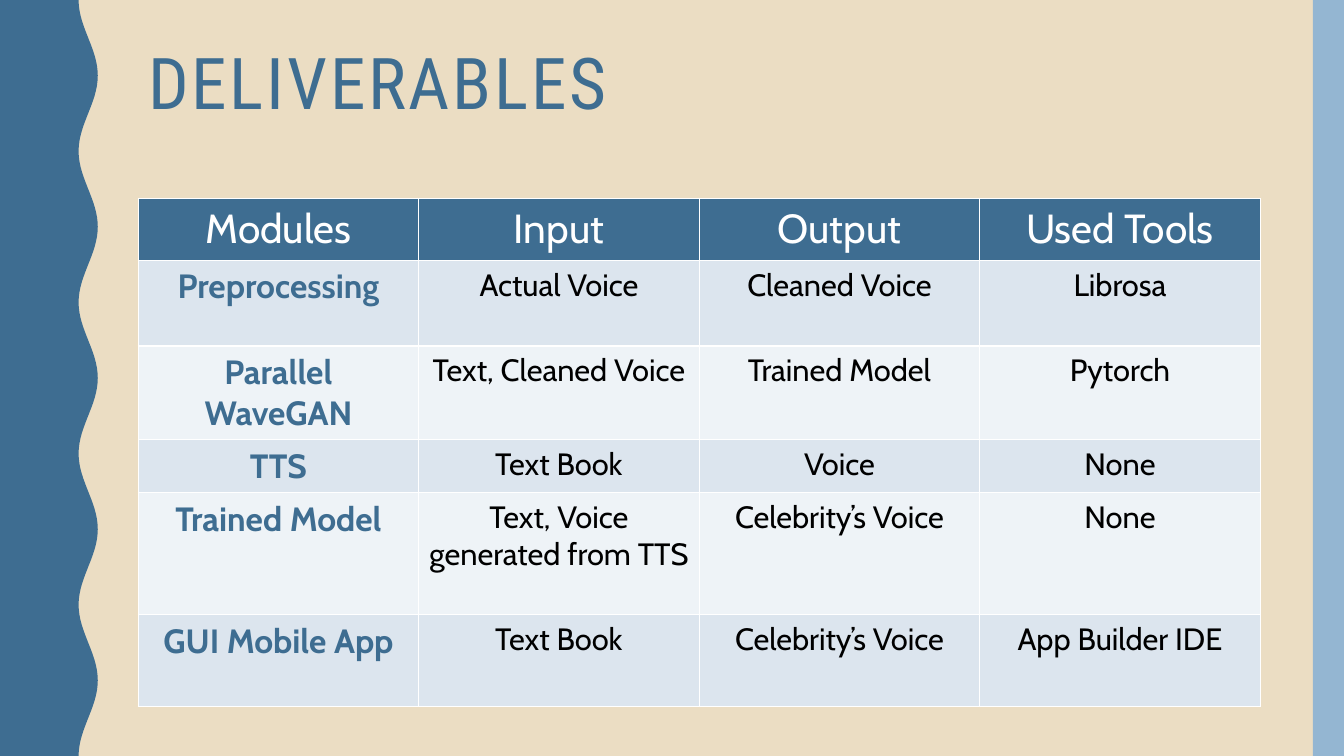
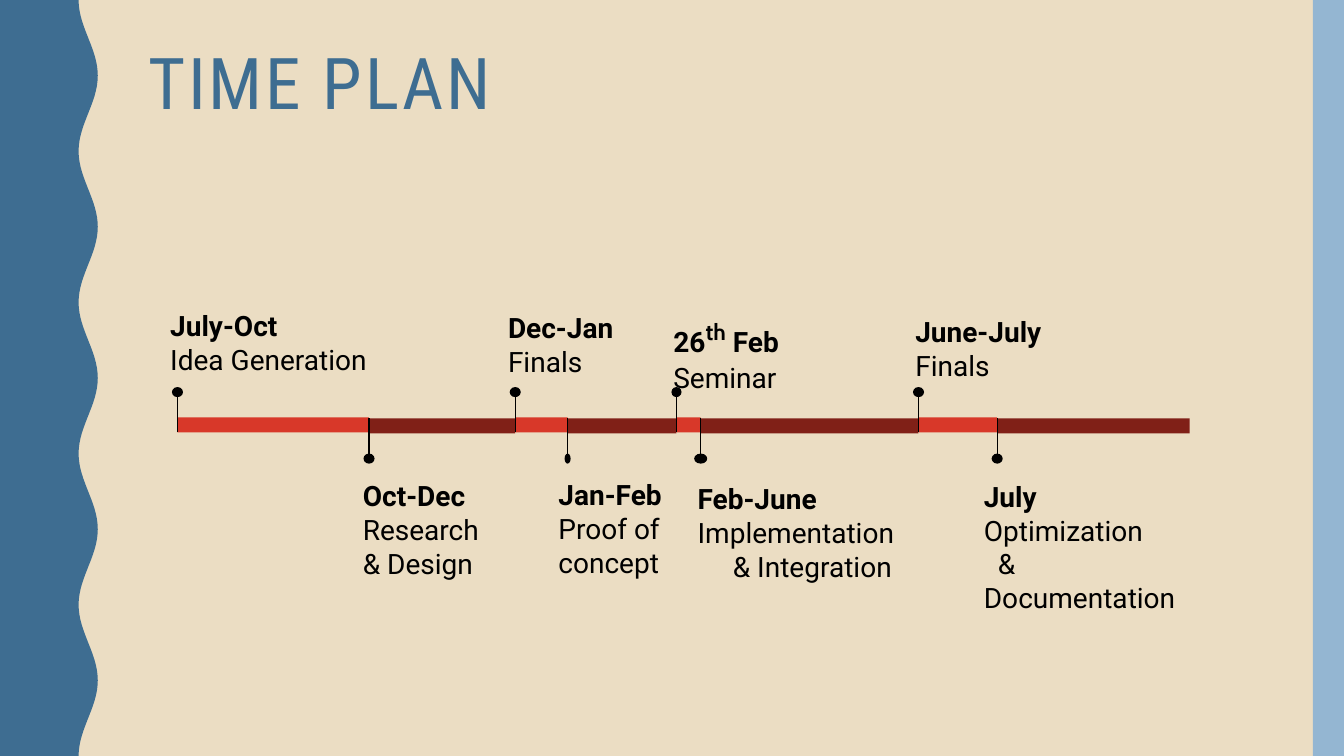
import dataclasses
import math

import lxml.etree
import pptx
import pptx.dml.color
import pptx.enum.shapes
import pptx.enum.text
import pptx.oxml.ns
import pptx.text.text
import pptx.util

Inches = pptx.util.Inches
Pt = pptx.util.Pt
RGB = pptx.dml.color.RGBColor.from_string
qn = pptx.oxml.ns.qn
SHAPE = pptx.enum.shapes.MSO_SHAPE


@dataclasses.dataclass(frozen=True)
class Theme:
    sand: str = "EBDDC3"
    blue: str = "3E6D91"
    sky: str = "94B6D2"
    white: str = "FFFFFF"
    black: str = "000000"
    row_dark: str = "DCE5EE"
    row_light: str = "EEF3F7"
    red: str = "D83829"
    maroon: str = "802017"
    title_font: str = "Roboto Condensed"
    table_font: str = "Cabin"
    label_font: str = "Roboto"
    title_size: int = 51
    header_size: int = 29
    module_size: int = 24
    cell_size: int = 22
    label_size: int = 20
    ordinal_size: int = 28


T = Theme()


def paint(shape, color):
    shape.shadow.inherit = False
    shape.fill.solid()
    shape.fill.fore_color.rgb = RGB(color)
    shape.line.fill.background()


def style(font, name, size, color, bold=False):
    font.name = name
    font.size = Pt(size)
    font.color.rgb = RGB(color)
    font.bold = bold


prs = pptx.Presentation()
prs.slide_width = Inches(13.33)
prs.slide_height = Inches(7.5)

master = prs.slide_master
master.background.fill.solid()
master.background.fill.fore_color.rgb = RGB(T.sand)
title_level = master.element.find(".//" + qn("p:titleStyle")).find(qn("a:lvl1pPr"))
title_level.set("algn", "l")
title_props = title_level.find(qn("a:defRPr"))
title_props.set("spc", "200")
style(pptx.text.text.Font(title_props), T.title_font, T.title_size, T.blue)

layout = prs.slide_layouts[5]
title = layout.placeholders[0]
title.left, title.top = Inches(1.37), Inches(0.42)
title.width, title.height = Inches(11.13), Inches(1.63)
title.text_frame.vertical_anchor = pptx.enum.text.MSO_ANCHOR.TOP
title.text_frame.auto_size = pptx.enum.text.MSO_AUTO_SIZE.NONE

slides = []
for heading in ("DELIVERABLES", "TIME PLAN"):
    s = prs.slides.add_slide(layout)
    s.shapes.title.text = heading
    s.shapes.title.text_frame.paragraphs[0].line_spacing = 0.9
    slides.append(s)
deliverables, time_plan = slides

wave_points = []
for step in range(151):
    y = step * 0.05
    x = 0.875 - 0.095 * math.cos(2 * math.pi * y / 1.5)
    wave_points.append((Inches(x), Inches(y)))
builder = deliverables.shapes.build_freeform(0, 0)
builder.add_line_segments(wave_points + [(0, Inches(7.5))], close=True)
wave = builder.convert_to_shape()
paint(wave, T.blue)
side_band = deliverables.shapes.add_shape(
    SHAPE.RECTANGLE, Inches(13.02), 0, Inches(0.31), Inches(7.5))
paint(side_band, T.sky)
for position, band in enumerate((wave, side_band), start=2):
    master.shapes.element.insert(position, band.element)

modules = [
    ("Modules", "Input", "Output", "Used Tools"),
    ("Preprocessing", "Actual Voice", "Cleaned Voice", "Librosa"),
    ("Parallel WaveGAN", "Text, Cleaned Voice", "Trained Model", "Pytorch"),
    ("TTS", "Text Book", "Voice", "None"),
    ("Trained Model", "Text, Voice generated from TTS", "Celebrity’s Voice", "None"),
    ("GUI Mobile App", "Text Book", "Celebrity’s Voice", "App Builder IDE"),
]
row_heights = (0.61, 0.85, 0.93, 0.52, 1.21, 0.91)
table = deliverables.shapes.add_table(
    len(modules), 4, Inches(1.37), Inches(1.97), Inches(11.13), Inches(5.04)).table
table.first_row = False
table.horz_banding = False
for i, (height, texts) in enumerate(zip(row_heights, modules)):
    table.rows[i].height = Inches(height)
    for j, text in enumerate(texts):
        cell = table.cell(i, j)
        cell.margin_left = cell.margin_right = Inches(0.1)
        cell.margin_top = cell.margin_bottom = Inches(0.06)
        tcPr = cell._tc.get_or_add_tcPr()
        for side in ("a:lnL", "a:lnR", "a:lnT", "a:lnB"):
            ln = lxml.etree.SubElement(tcPr, qn(side), w=str(Pt(1)))
            fill = lxml.etree.SubElement(ln, qn("a:solidFill"))
            lxml.etree.SubElement(fill, qn("a:srgbClr"), val=T.white)
        cell.fill.solid()
        fill_color = T.blue if i == 0 else T.row_dark if i % 2 else T.row_light
        cell.fill.fore_color.rgb = RGB(fill_color)
        cell.text = text
        p = cell.text_frame.paragraphs[0]
        p.alignment = pptx.enum.text.PP_ALIGN.CENTER
        if i == 0:
            style(p.font, T.table_font, T.header_size, T.white)
        elif j == 0:
            style(p.font, T.table_font, T.module_size, T.blue, True)
        else:
            style(p.font, T.table_font, T.cell_size, T.black)

phases = [
    (1.76, 0.11, (1.59, 2.96, 2.36), ["July-Oct"], [("Idea Generation", 0)]),
    (3.66, 0.11, (3.5, 4.65, 1.55), ["Oct-Dec"], [("Research & Design", 0)]),
    (5.11, 0.11, (4.94, 2.98, 1.89), ["Dec-Jan"], [("Finals", 0)]),
    (5.63, 0.06, (5.44, 4.64, 1.89), ["Jan-Feb"], [("Proof of concept", 0)]),
    (6.71, 0.1, (6.58, 3.01, 1.48), ["26", "th", " Feb"], [("Seminar", 0)]),
    (6.95, 0.13, (6.82, 4.68, 2.49), ["Feb-June"],
     [("Implementation", 0), ("& Integration", 0.35)]),
    (9.11, 0.11, (8.98, 3.02, 2.08), ["June-July"], [("Finals", 0)]),
    (9.89, 0.11, (9.66, 4.66, 2.37), ["July"],
     [("Optimization", 0), ("&", 0.14), ("Documentation", 0)]),
]
ends = [phase[0] for phase in phases[1:]] + [11.8]
shapes = time_plan.shapes
for i, (start, dot_width, box, date, lines) in enumerate(phases):
    above = i % 2 == 0
    bar_top = 4.14 if above else 4.15
    bar = shapes.add_shape(SHAPE.RECTANGLE, Inches(start), Inches(bar_top),
                           Inches(ends[i] - start), Inches(0.15))
    paint(bar, T.red if above else T.maroon)

for i, (start, dot_width, box, date, lines) in enumerate(phases):
    pin_from, pin_to = (3.89, 4.29) if i % 2 == 0 else (4.55, 4.15)
    pin = shapes.add_connector(pptx.enum.shapes.MSO_CONNECTOR.STRAIGHT,
                               Inches(start), Inches(pin_from), Inches(start), Inches(pin_to))
    pin.line.color.rgb = RGB(T.black)
    pin.line.width = Pt(0.75)
    lxml.etree.SubElement(pin.element.spPr, qn("a:effectLst"))
    dot = shapes.add_shape(SHAPE.OVAL, Inches(start - dot_width / 2),
                           Inches(pin_from - 0.05), Inches(dot_width), Inches(0.1))
    paint(dot, T.black)

    left, top, width = box
    label = shapes.add_textbox(Inches(left), Inches(top), Inches(width), Inches(1.03))
    tf = label.text_frame
    tf.word_wrap = True
    tf.margin_left = tf.margin_right = tf.margin_top = tf.margin_bottom = Inches(0.1)
    p = tf.paragraphs[0]
    style(p.font, T.label_font, T.label_size, T.black, True)
    for k, part in enumerate(date):
        r = p.add_run()
        r.text = part
        if k == 1:
            style(r.font, T.table_font, T.ordinal_size, T.black, True)
            r._r.get_or_add_rPr().set("baseline", "30000")
    for text, indent in lines:
        p = tf.add_paragraph()
        p.text = text
        if indent:
            p._p.get_or_add_pPr().set("marL", str(Inches(indent)))
        style(p.font, T.label_font, T.label_size, T.black)

prs.save("out.pptx")
